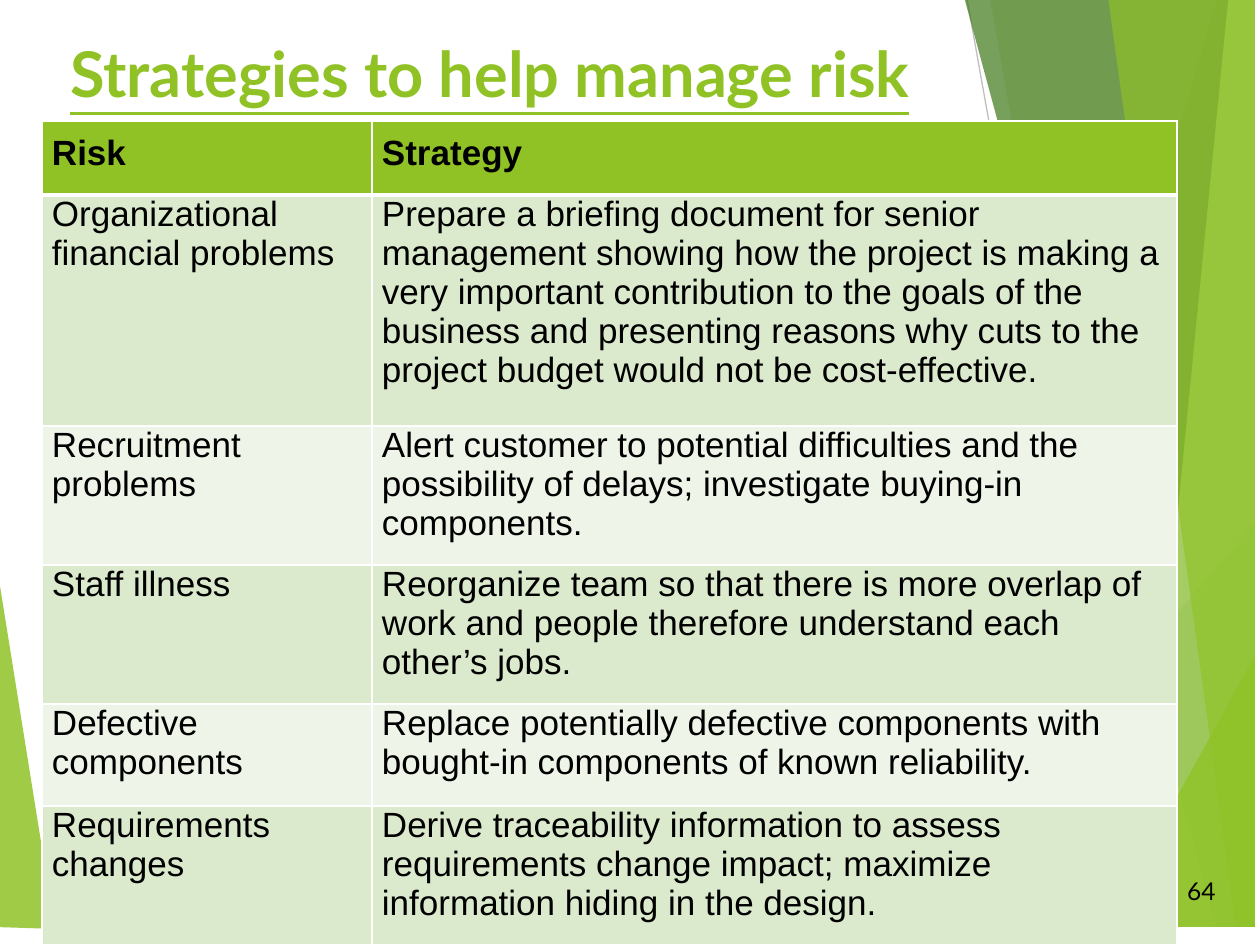
from lxml.etree import SubElement
from pptx import Presentation
from pptx.dml.color import RGBColor
from pptx.enum.shapes import MSO_CONNECTOR
from pptx.enum.text import MSO_ANCHOR, PP_ALIGN
from pptx.oxml.ns import qn
from pptx.util import Pt

PX = 914400 / 126
WIDTH, HEIGHT = 1260, 945
TOP, BOTTOM, RIGHT = -18, 927, 1255
COLORS = {
    "green": "90C226", "leaf": "54A021", "forest": "3F7819", "lime": "C0E474",
    "band": "DBE9CD", "pale": "EEF4E8", "white": "FFFFFF", "black": "000000",
    "grey": "BFBFBF", "light grey": "D9D9D9",
}

TITLE = "Strategies to help manage risk"
PAGE = "64"
ROWS = [
    ("Risk", "Strategy"),
    ("Organizational financial problems",
     "Prepare a briefing document for senior management showing how the project "
     "is making a very important contribution to the goals of the business and "
     "presenting reasons why cuts to the project budget would not be cost-effective."),
    ("Recruitment problems",
     "Alert customer to potential difficulties and the possibility of delays; "
     "investigate buying-in components."),
    ("Staff illness",
     "Reorganize team so that there is more overlap of work and people therefore "
     "understand each other’s jobs."),
    ("Defective components",
     "Replace potentially defective components with bought-in components of known "
     "reliability."),
    ("Requirements changes",
     "Derive traceability information to assess requirements change impact; "
     "maximize information hiding in the design."),
]
COL_WIDTHS = (330, 805)
ROW_HEIGHTS = (74, 231, 102, 102, 102, 102)

# colour, opacity in percent, corner points
LEFT_WEDGE = ("green", 85, [(-8, 536), (55, 929), (-8, BOTTOM)])
RAYS = [
    ("light grey", (701, BOTTOM), (RIGHT, 558)),
    ("grey", (964, TOP), (1133, BOTTOM)),
]


def band(top_left, bottom_left):
    return [(top_left, TOP), (bottom_left, BOTTOM), (RIGHT, BOTTOM), (RIGHT, TOP)]


def corner(left, top):
    return [(left, BOTTOM), (RIGHT, top), (RIGHT, BOTTOM)]


FACETS = [
    ("green", 30, band(1222, 944)),
    ("green", 20, band(987, 1153)),
    ("leaf", 72, corner(908, 523)),
    ("forest", 70, band(960, 1216)),
    ("lime", 70, band(1230, 1137)),
    ("green", 65, band(1106, 1236)),
    ("green", 80, corner(1105, 656)),
]


def px(n):
    return round(n * PX)


def rgb(name):
    return RGBColor.from_string(COLORS[name])


def add_facet(shapes, color, opacity, points):
    builder = shapes.build_freeform(*points[0], scale=PX)
    builder.add_line_segments(points[1:], close=True)
    s = builder.convert_to_shape()
    s.shadow.inherit = False
    s.fill.solid()
    s.fill.fore_color.rgb = rgb(color)
    s.line.fill.background()
    clr = s.fill._xPr.find(qn("a:solidFill"))[0]
    SubElement(clr, qn("a:alpha"), val=str(opacity * 1000))


def add_ray(shapes, color, start, end):
    s = shapes.add_connector(MSO_CONNECTOR.STRAIGHT, *map(px, start + end))
    s.line.color.rgb = rgb(color)
    s.line.width = Pt(0.75)
    SubElement(s._element.spPr, qn("a:effectLst"))


def write(tf, text, color, align=PP_ALIGN.LEFT, **font):
    p = tf.paragraphs[0]
    p.alignment = align
    r = p.add_run()
    r.text = text
    r.font.color.rgb = rgb(color)
    for name, value in font.items():
        setattr(r.font, name, value)


def add_text(shapes, box, text, color, anchor, align, **font):
    tf = shapes.add_textbox(*map(px, box)).text_frame
    tf.word_wrap = True
    tf.vertical_anchor = anchor
    write(tf, text, color, align, **font)


def set_borders(cell, header):
    """White borders, with a thick rule under the header row."""
    tcPr = cell._tc.get_or_add_tcPr()
    for i, side in enumerate("LRTB"):
        width = Pt(3 if header and side == "B" else 1)
        ln = SubElement(tcPr, qn("a:ln" + side), w=str(width))
        fill = SubElement(ln, qn("a:solidFill"))
        SubElement(fill, qn("a:srgbClr"), val=COLORS["white"])
        tcPr.insert(i, ln)


def add_risk_table(shapes):
    frame = shapes.add_table(len(ROWS), len(COL_WIDTHS), px(42), px(121),
                             px(sum(COL_WIDTHS)), px(sum(ROW_HEIGHTS)))
    table = frame.table
    table.horz_banding = False
    for column, width in zip(table.columns, COL_WIDTHS):
        column.width = px(width)
    for i, (row, height, texts) in enumerate(zip(table.rows, ROW_HEIGHTS, ROWS)):
        row.height = px(height)
        header = i == 0
        fill = "green" if header else ("pale", "band")[i % 2]
        for j, (cell, text) in enumerate(zip(row.cells, texts)):
            cell.fill.solid()
            cell.fill.fore_color.rgb = rgb(fill)
            cell.margin_left = cell.margin_right = px(10)
            cell.margin_top = px(13 if header else 0)
            cell.margin_bottom = px(13)
            set_borders(cell, header)
            align = PP_ALIGN.JUSTIFY if header and j else PP_ALIGN.LEFT
            write(cell.text_frame, text, "black", align,
                  name="Arial", size=Pt(20), bold=header)


def main():
    prs = Presentation()
    prs.slide_width, prs.slide_height = px(WIDTH), px(HEIGHT)
    shapes = prs.slides.add_slide(prs.slide_layouts[6]).shapes
    add_facet(shapes, *LEFT_WEDGE)
    for ray in RAYS:
        add_ray(shapes, *ray)
    for facet in FACETS:
        add_facet(shapes, *facet)
    add_text(shapes, (58, 28, 1060, 102), TITLE, "green", MSO_ANCHOR.TOP,
             PP_ALIGN.LEFT, name="Lato", size=Pt(36), bold=True, underline=True)
    add_risk_table(shapes)
    add_text(shapes, (1158, 866, 70, 50), PAGE, "black", MSO_ANCHOR.MIDDLE,
             PP_ALIGN.RIGHT, name="Lato", size=Pt(14))
    prs.save("out.pptx")


if __name__ == "__main__":
    main()
